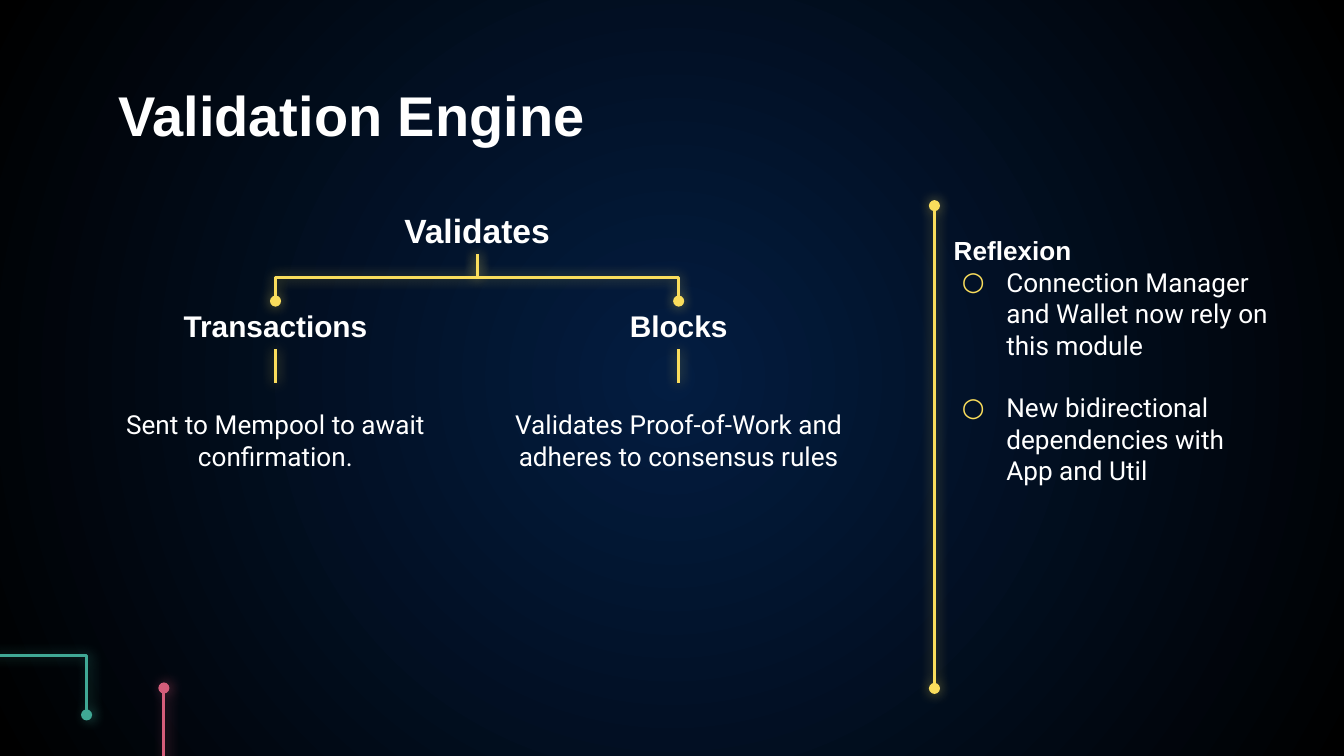
from dataclasses import dataclass

from lxml.etree import SubElement
from pptx import Presentation
from pptx.dml.color import RGBColor
from pptx.enum.dml import MSO_LINE
from pptx.enum.shapes import MSO_CONNECTOR
from pptx.enum.text import MSO_ANCHOR, MSO_AUTO_SIZE, PP_ALIGN
from pptx.oxml.ns import qn
from pptx.slide import Slide
from pptx.text.text import TextFrame
from pptx.util import Pt

COLORS = {
    "glow": "031D41",
    "night": "000000",
    "text": "FFFFFF",
    "yellow": "FADD5C",
    "teal": "40A895",
    "pink": "D55D7A",
}
HEADING_FONT = "Arial"
BODY_FONT = "Roboto"
MARGIN_LEFT = 39.6
COLUMN_WIDTH = 216
TREE_TOP = 110.2
HEADING_HEIGHT = 25.9
BRANCH_TOP = 161.3
BODY_TOP = 211.7
DIVIDER_X = 500.6
DIVIDER_BOTTOM = 368.8


@dataclass
class Branch:
    heading: str
    body: str


@dataclass
class Wire:
    start: tuple[float, float]
    end: tuple[float, float]
    color: str = "yellow"
    head: bool = False
    tail: bool = False
    glow_shift: float = 0


BRANCHES = [
    Branch("Transactions", "Sent to Mempool to await confirmation."),
    Branch("Blocks", "Validates Proof-of-Work and adheres to consensus rules"),
]
REFLEXIONS = [
    "Connection Manager and Wallet now rely on this module",
    "New bidirectional dependencies with App and Util",
]


def paint_background(slide: Slide) -> None:
    fill = slide.background.fill
    fill.gradient()
    for stop, name in zip(fill.gradient_stops, ("glow", "night")):
        stop.color.rgb = RGBColor.from_string(COLORS[name])
    for stop, position in zip(fill.gradient_stops, (0, 1)):
        stop.position = position
    gradient = slide.element.find(".//" + qn("a:gradFill"))
    gradient.remove(gradient.find(qn("a:lin")))
    circle = SubElement(gradient, qn("a:path"), path="circle")
    SubElement(circle, qn("a:fillToRect"), l="50000", t="50000", r="50000", b="50000")


def draw_wire(slide: Slide, wire: Wire) -> None:
    (x1, y1), (x2, y2) = wire.start, wire.end
    if x1 == x2:
        connector = slide.shapes.add_connector(
            MSO_CONNECTOR.STRAIGHT, Pt(x1), Pt(y1), Pt(x2), Pt(y2))
    else:
        middle_x, middle_y = (x1 + x2) / 2, (y1 + y2) / 2
        half_width, half_height = (y2 - y1) / 2, abs(x2 - x1) / 2
        goes_right = x2 > x1
        if goes_right:
            half_width = -half_width
        connector = slide.shapes.add_connector(
            MSO_CONNECTOR.ELBOW,
            Pt(middle_x - half_width), Pt(middle_y - half_height),
            Pt(middle_x + half_width), Pt(middle_y + half_height))
        turn = 270 if goes_right else 90
        connector._element.spPr.find(qn("a:xfrm")).set("rot", str(turn * 60000))
    connector.line.color.rgb = RGBColor.from_string(COLORS[wire.color])
    connector.line.width = Pt(1.5)
    connector.line.dash_style = MSO_LINE.SOLID
    stroke = connector.line._get_or_add_ln()
    for tag, shown in (("a:headEnd", wire.head), ("a:tailEnd", wire.tail)):
        if shown:
            SubElement(stroke, qn(tag), type="oval", w="med", len="med")
    effects = SubElement(connector._element.spPr, qn("a:effectLst"))
    shadow = SubElement(
        effects, qn("a:outerShdw"), blurRad=str(Pt(6.8)),
        dist=str(Pt(wire.glow_shift)), dir="0", algn="bl", rotWithShape="0")
    tint = SubElement(shadow, qn("a:srgbClr"), val=COLORS[wire.color])
    SubElement(tint, qn("a:alpha"), val="50000")


def write(frame: TextFrame, text: str, *, size: float = 14, font: str = BODY_FONT,
          bold: bool = False, align: PP_ALIGN = PP_ALIGN.LEFT, bullet: str = "",
          indent: float = 0, hanging: float = 0, line_spacing: float = 1,
          before: float = 0) -> None:
    paragraph = frame.paragraphs[0]
    if paragraph.text:
        paragraph = frame.add_paragraph()
    properties = paragraph._p.get_or_add_pPr()
    properties.set("marL", str(Pt(indent)))
    properties.set("indent", str(Pt(-hanging)))
    if bullet:
        bullet_color = SubElement(properties, qn("a:buClr"))
        SubElement(bullet_color, qn("a:srgbClr"), val=COLORS["yellow"])
        SubElement(properties, qn("a:buFont"), typeface=font)
        SubElement(properties, qn("a:buChar"), char=bullet)
    paragraph.alignment = align
    paragraph.line_spacing = line_spacing
    paragraph.space_before = Pt(before)
    run = paragraph.add_run()
    run.text = text
    run.font.size = Pt(size)
    run.font.name = font
    run.font.bold = bold
    run.font.color.rgb = RGBColor.from_string(COLORS["text"])


def prepare_frame(frame: TextFrame, anchor: MSO_ANCHOR) -> TextFrame:
    frame.word_wrap = True
    frame.auto_size = MSO_AUTO_SIZE.NONE
    frame.vertical_anchor = anchor
    frame.margin_left = frame.margin_right = Pt(7.2)
    frame.margin_top = frame.margin_bottom = Pt(7.2)
    return frame


def add_frame(slide: Slide, left: float, top: float, width: float, height: float,
              anchor: MSO_ANCHOR = MSO_ANCHOR.TOP) -> TextFrame:
    box = slide.shapes.add_textbox(Pt(left), Pt(top), Pt(width), Pt(height))
    return prepare_frame(box.text_frame, anchor)


def add_title(slide: Slide, text: str) -> None:
    title = slide.shapes.title
    title.left, title.top, title.width, title.height = Pt(56.2), Pt(42.5), Pt(607.7), Pt(37.4)
    frame = prepare_frame(title.text_frame, MSO_ANCHOR.MIDDLE)
    write(frame, text, size=30, font=HEADING_FONT, bold=True)


def add_tree(slide: Slide) -> None:
    tree_width = COLUMN_WIDTH * len(BRANCHES)
    root = add_frame(slide, MARGIN_LEFT, TREE_TOP, tree_width, HEADING_HEIGHT, MSO_ANCHOR.MIDDLE)
    write(root, "Validates", size=18, font=HEADING_FONT, bold=True, align=PP_ALIGN.CENTER)
    root_end = (MARGIN_LEFT + tree_width / 2, TREE_TOP + HEADING_HEIGHT)
    for column, branch in enumerate(BRANCHES):
        left = MARGIN_LEFT + column * COLUMN_WIDTH
        center = left + COLUMN_WIDTH / 2
        heading = add_frame(slide, left, BRANCH_TOP, COLUMN_WIDTH, HEADING_HEIGHT, MSO_ANCHOR.MIDDLE)
        write(heading, branch.heading, size=16, font=HEADING_FONT, bold=True, align=PP_ALIGN.CENTER)
        body = add_frame(slide, left, BODY_TOP, COLUMN_WIDTH, 46.8)
        write(body, branch.body, align=PP_ALIGN.CENTER)
        draw_wire(slide, Wire(root_end, (center, BRANCH_TOP), tail=True))
        stub_top = BRANCH_TOP + HEADING_HEIGHT
        draw_wire(slide, Wire((center, stub_top), (center, stub_top + 18)))


def add_reflexion(slide: Slide) -> None:
    draw_wire(slide, Wire((DIVIDER_X, TREE_TOP), (DIVIDER_X, DIVIDER_BOTTOM), head=True, tail=True))
    reflexion = add_frame(slide, 496, TREE_TOP, 193.7, 308.9)
    write(reflexion, "Reflexion", font=HEADING_FONT, bold=True, indent=7.8, line_spacing=1.5)
    for position, point in enumerate(REFLEXIONS):
        write(reflexion, point, bullet="○", indent=36, hanging=23.8, before=16.8 * position)


def main() -> None:
    presentation = Presentation()
    presentation.slide_width, presentation.slide_height = Pt(720), Pt(405)
    slide = presentation.slides.add_slide(presentation.slide_layouts[5])
    paint_background(slide)
    draw_wire(slide, Wire((87.8, 443.5), (87.8, 368.6), "pink", True, True, 1.5))
    draw_wire(slide, Wire((-18, 319), (46.4, 383), "teal", True, True, 1.5))
    add_title(slide, "Validation Engine")
    add_tree(slide)
    add_reflexion(slide)
    presentation.save("out.pptx")


if __name__ == "__main__":
    main()
